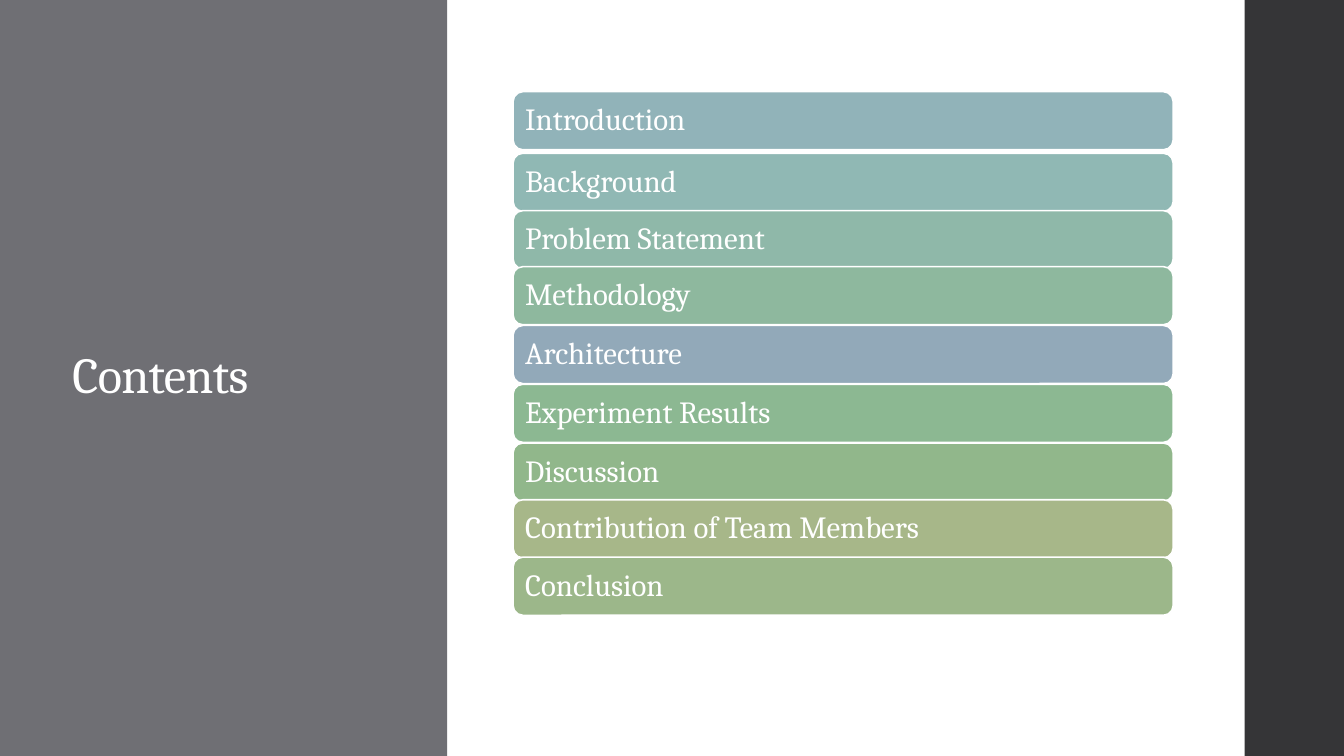
import pptx
import pptx.util
import pptx.dml.color
import pptx.enum.shapes
import pptx.enum.text

Pt = pptx.util.Pt
SHAPE = pptx.enum.shapes.MSO_SHAPE
WIDTH, HEIGHT = 960, 540

# Label, top and fill of each agenda bar
TOPICS = [
    ("Introduction", 65.5, "91B3B9"),
    ("Background", 109.5, "90B8B4"),
    ("Problem Statement", 150.5, "8FB8A9"),
    ("Methodology", 190.5, "8EB89E"),
    ("Architecture", 232.5, "92A9B9"),
    ("Experiment Results", 274.5, "8CB892"),
    ("Discussion", 316.5, "91B78B"),
    ("Contribution of Team Members", 357, "A7B789"),
    ("Conclusion", 398, "9CB78A"),
]


def rgb(value):
    return pptx.dml.color.RGBColor.from_string(value)


class Deck:
    """Holds the text style and the current slide."""
    font = "Cambria"
    text_color = "FFFFFF"

    def __init__(self):
        self.prs = pptx.Presentation()
        self.prs.slide_width, self.prs.slide_height = Pt(WIDTH), Pt(HEIGHT)
        self.s = self.prs.slides.add_slide(self.prs.slide_layouts[5])

    def label(self, sp, text, size):
        """Sets one left-aligned, vertically centred line of text."""
        tf = sp.text_frame
        tf.text = text
        tf.word_wrap = True
        tf.auto_size = pptx.enum.text.MSO_AUTO_SIZE.NONE
        tf.vertical_anchor = pptx.enum.text.MSO_ANCHOR.MIDDLE
        p = tf.paragraphs[0]
        p.alignment = pptx.enum.text.PP_ALIGN.LEFT
        p.line_spacing = 0.9
        r = p.runs[0]
        r.font.name, r.font.size = self.font, Pt(size)
        r.font.color.rgb = rgb(self.text_color)
        return r

    def box(self, kind, x, y, w, h, fill):
        sp = self.s.shapes.add_shape(kind, Pt(x), Pt(y), Pt(w), Pt(h))
        sp.shadow.inherit = False
        sp.fill.solid()
        sp.fill.fore_color.rgb = rgb(fill)
        sp.line.fill.background()
        return sp

    def panel(self, x, w, fill):
        """Adds a full-height band behind the title."""
        sp = self.box(SHAPE.RECTANGLE, x, 0, w, HEIGHT, fill)
        self.s.shapes.title.element.addprevious(sp.element)

    def title(self, text, x, y, w, h):
        sp = self.s.shapes.title
        sp.left, sp.top, sp.width, sp.height = Pt(x), Pt(y), Pt(w), Pt(h)
        r = self.label(sp, text, 36)
        r._r.get_or_add_rPr().set("spc", "-50")

    def bar(self, text, y, fill):
        sp = self.box(SHAPE.ROUNDED_RECTANGLE, 366.5, y, 471.5, 41.5, fill)
        sp.line.color.rgb = rgb("FFFFFF")
        sp.line.width = Pt(1.1)
        tf = sp.text_frame
        tf.margin_left = tf.margin_right = Pt(6.6)
        tf.margin_top = tf.margin_bottom = Pt(0)
        self.label(sp, text, 22)


def main():
    deck = Deck()
    deck.panel(0, 319.5, "6F6F74")
    deck.panel(889, WIDTH - 889, "353537")
    deck.title("Contents", 44.5, 65.5, 214, 408)
    for text, top, fill in TOPICS:
        deck.bar(text, top, fill)
    deck.prs.save("out.pptx")


if __name__ == "__main__":
    main()
